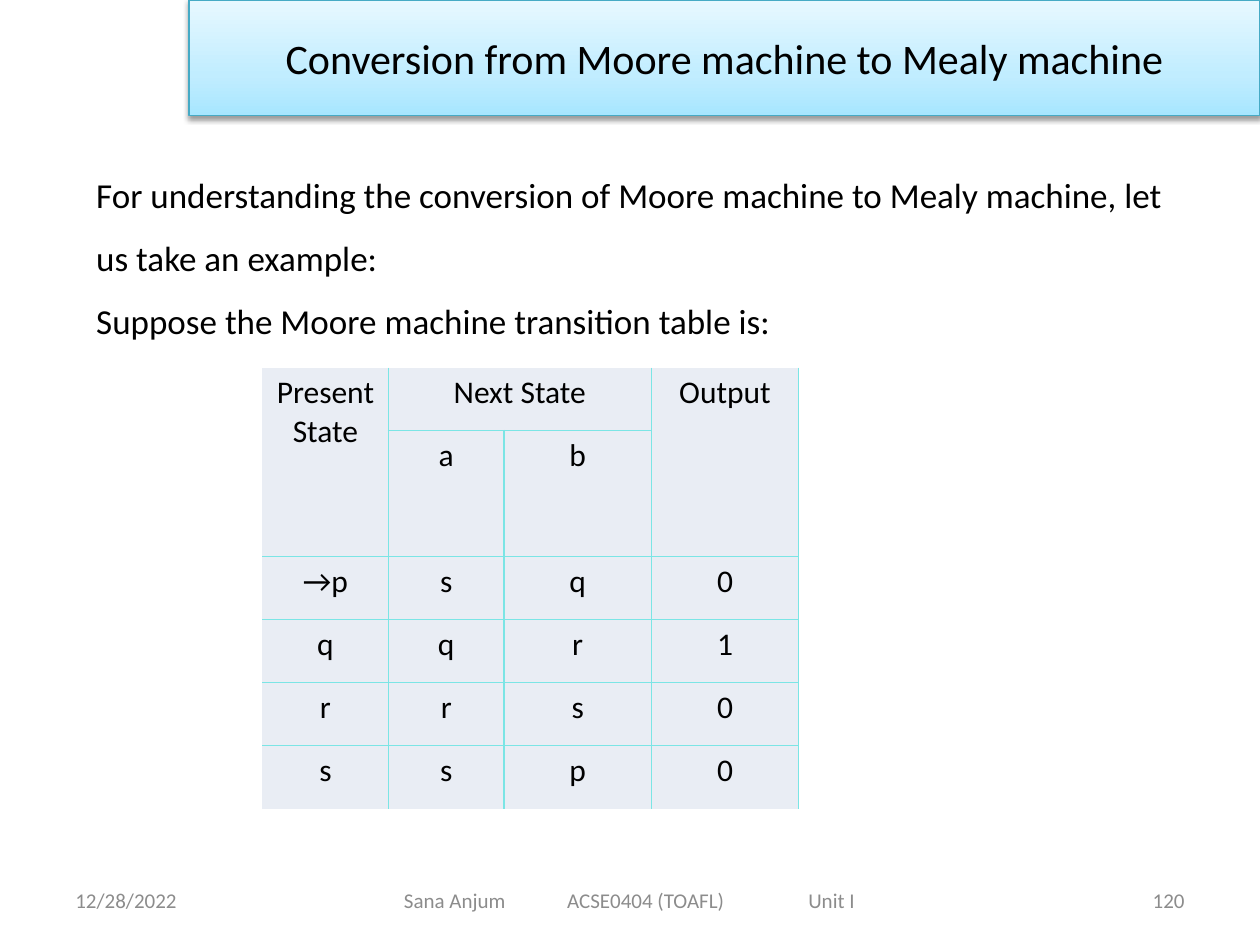
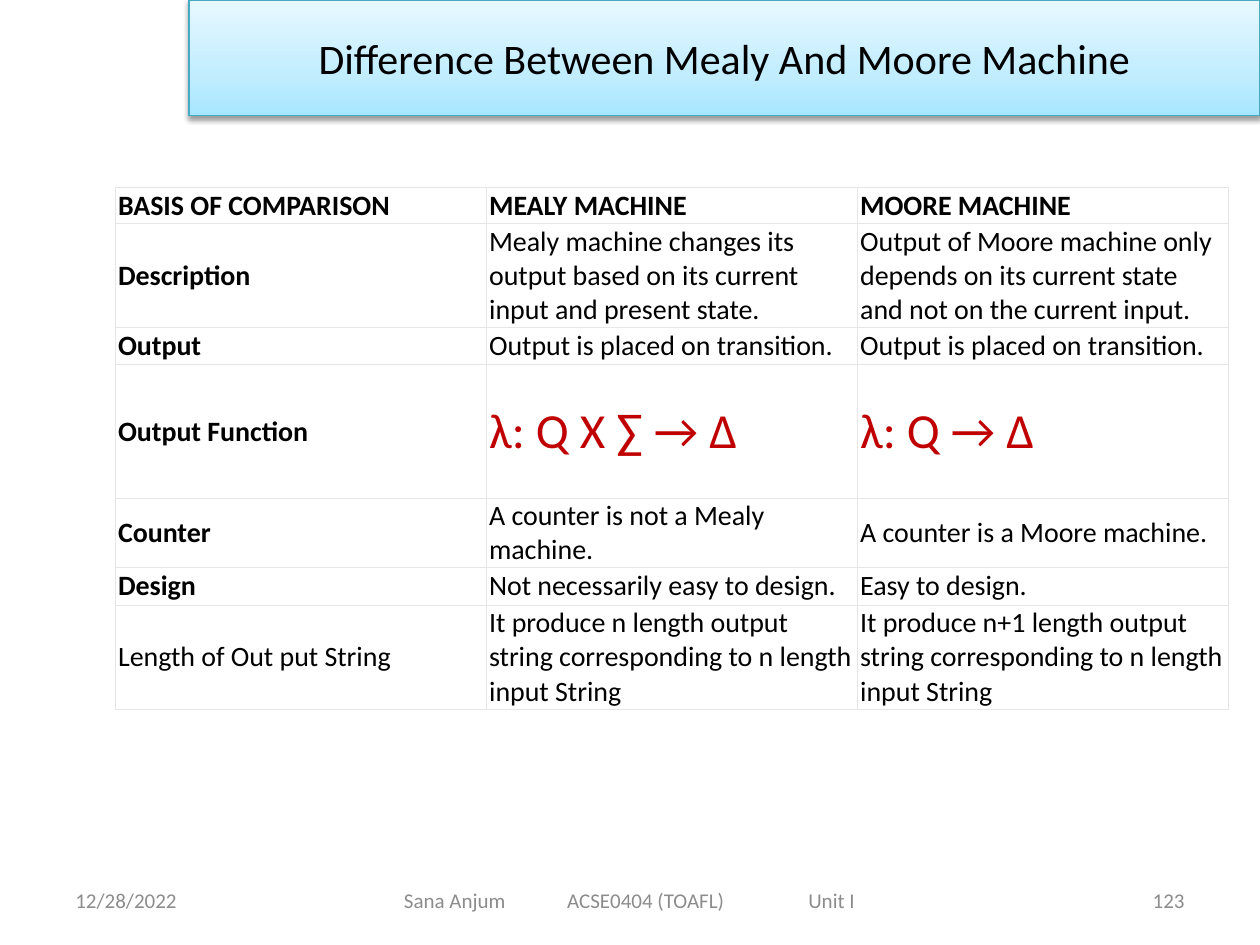
from copy import deepcopy

from lxml import etree
from pptx import Presentation
from pptx.dml.color import RGBColor
from pptx.enum.shapes import MSO_SHAPE
from pptx.enum.text import MSO_ANCHOR, PP_ALIGN
from pptx.oxml.ns import qn
from pptx.util import Cm, Pt

LEFT, CENTER, RIGHT = PP_ALIGN.LEFT, PP_ALIGN.CENTER, PP_ALIGN.RIGHT
TOP, MIDDLE = MSO_ANCHOR.TOP, MSO_ANCHOR.MIDDLE
RECTANGLE = MSO_SHAPE.RECTANGLE

FONT = "Calibri"
BLACK = RGBColor(0x00, 0x00, 0x00)
WHITE = RGBColor(0xFF, 0xFF, 0xFF)
FOOTER_GREY = RGBColor(0x8C, 0x8C, 0x8C)
FORMULA_RED = RGBColor(0xC0, 0x00, 0x00)
BAND_LINE = RGBColor(0x46, 0xAA, 0xC5)
BAND_STOPS = [
    (0, RGBColor(0xA7, 0xE6, 0xFF)),
    (0.35, RGBColor(0xC1, 0xED, 0xFF)),
    (1, RGBColor(0xE7, 0xF8, 0xFF)),
]
STATE_FILL = RGBColor(0xE9, 0xED, 0xF4)
STATE_LINE = RGBColor(0x7B, 0xE5, 0xE5)
COMPARISON_LINE = RGBColor(0xE6, 0xE6, 0xE6)

DATE = "12/28/2022"
COURSE = "Sana Anjum\tACSE0404 (TOAFL)\tUnit I"
COURSE_TABS = (Cm(3.29), Cm(8.15))

INTRODUCTION = (
    "For understanding the conversion of Moore machine to Mealy machine, "
    "let us take an example:\n"
    "Suppose the Moore machine transition table is:"
)
STATE_ROWS = [
    ["Present State", "Next State", "", "Output"],
    ["", "a", "b", ""],
    ["→p", "s", "q", "0"],
    ["q", "q", "r", "1"],
    ["r", "r", "s", "0"],
    ["s", "s", "p", "0"],
]
STATE_MERGES = [((0, 0), (1, 0)), ((0, 1), (0, 2)), ((0, 3), (1, 3))]

COMPARISON_ROWS = [
    ["BASIS OF COMPARISON", "MEALY MACHINE", "MOORE MACHINE"],
    ["Description",
     "Mealy machine changes its output based on its current input and present state.",
     "Output of Moore machine only depends on its current state and not on the current input."],
    ["Output", "Output is placed on transition.", "Output is placed on transition."],
    ["Output Function", "λ: Q X ∑ → Δ", "λ: Q → Δ"],
    ["Counter", "A counter is not a Mealy machine.", "A counter is a Moore machine."],
    ["Design", "Not necessarily easy to design.", "Easy to design."],
    ["Length of Out put String",
     "It produce n length output string corresponding to n length input String",
     "It produce n+1 length output string corresponding to n length input String"],
]
COMPARISON_HEIGHTS = [0.73, 2.1, 0.74, 2.7, 1.39, 0.76, 2.1]
FORMULA_ROW = 3
LAST_COMPARISON_ROW = len(COMPARISON_ROWS) - 1


def write(frame, text, size=12, color=BLACK, bold=False, align=LEFT,
          line_spacing=None, tabs=()):
    """Put each line of the text into its own formatted paragraph."""
    for index, line in enumerate(text.split("\n")):
        para = frame.add_paragraph() if index else frame.paragraphs[0]
        para.alignment = align
        if line_spacing:
            para.line_spacing = line_spacing
        if tabs:
            tab_list = etree.SubElement(para._p.get_or_add_pPr(), qn("a:tabLst"))
            for stop in tabs:
                etree.SubElement(tab_list, qn("a:tab"), pos=str(stop), algn="l")
        span = para.add_run()
        span.text = line
        span.font.name = FONT
        span.font.size = Pt(size)
        span.font.bold = bold
        span.font.color.rgb = color


def add_text(page, box, text, anchor=TOP, inset=Cm(0.25), **style):
    frame = page.shapes.add_textbox(*box).text_frame
    frame.word_wrap = True
    frame.vertical_anchor = anchor
    frame.margin_left = inset
    write(frame, text, **style)


def add_title_band(page, box, title):
    band = page.shapes.add_shape(RECTANGLE, *box)
    band.line.color.rgb = BAND_LINE
    band.line.width = Pt(0.75)

    # Three-stop gradient running from the bottom up
    band.fill.gradient()
    band.fill.gradient_angle = 90
    stop_list = band.element.spPr.find(qn("a:gradFill")).find(qn("a:gsLst"))
    stop_list.append(deepcopy(stop_list[0]))
    for stop, (position, color) in zip(band.fill.gradient_stops, BAND_STOPS):
        stop.position = position
        stop.color.rgb = color

    # Soft shadow below the band
    band.shadow.inherit = False
    effects = band.element.spPr.find(qn("a:effectLst"))
    shadow = etree.SubElement(effects, qn("a:outerShdw"), blurRad=str(Pt(3.1)),
                              dist=str(Pt(1.6)), dir="5400000", rotWithShape="0")
    shade = etree.SubElement(shadow, qn("a:srgbClr"), val=str(BLACK))
    etree.SubElement(shade, qn("a:alpha"), val="38000")

    band.text_frame.word_wrap = True
    band.text_frame.vertical_anchor = MIDDLE
    write(band.text_frame, title, size=24, align=CENTER)


def add_footer(page, box, number):
    left, top, width, height = box
    side, middle = Cm(5.93), Cm(13.97)
    style = dict(anchor=MIDDLE, color=FOOTER_GREY)
    add_text(page, (left, top, side, height), DATE, **style)
    add_text(page, (left + (width - middle) // 2, top, middle, height), COURSE,
             inset=Cm(2.43), tabs=COURSE_TABS, **style)
    add_text(page, (left + width - side, top, side, height), str(number),
             align=RIGHT, **style)


def add_page(deck, title, number):
    page = deck.slides.add_slide(deck.slide_layouts[6])
    add_title_band(page, (Cm(3.81), 0, Cm(21.59), Cm(2.33)), title)
    add_footer(page, (Cm(1.27), Cm(17.65), Cm(22.86), Cm(1.01)), number)
    return page


def set_borders(cell, sides, color, width):
    """Draw the named sides (L, R, T, B) and clear the others."""
    properties = cell._tc.get_or_add_tcPr()
    for side in "LRTB":
        line = etree.SubElement(properties, qn(f"a:ln{side}"), w=str(Pt(width)))
        if side in sides:
            fill = etree.SubElement(line, qn("a:solidFill"))
            etree.SubElement(fill, qn("a:srgbClr"), val=str(color))
        else:
            etree.SubElement(line, qn("a:noFill"))


def add_grid(page, left, top, widths, heights):
    """Add a plain table whose column and row sizes are given in cm."""
    table = page.shapes.add_table(len(heights), len(widths), left, top,
                                  Cm(sum(widths)), Cm(sum(heights))).table
    table.first_row = table.horz_banding = False
    for column, width in zip(table.columns, widths):
        column.width = Cm(width)
    for row, height in zip(table.rows, heights):
        row.height = Cm(height)
    return table


def fill_cell(cell, text, fill, **style):
    cell.fill.solid()
    cell.fill.fore_color.rgb = fill
    if text:
        write(cell.text_frame, text, **style)


def add_state_table(page, left, top):
    heights = [1.27, 2.54] + [1.27] * 4
    table = add_grid(page, left, top, [2.54, 2.33, 2.97, 2.97], heights)
    for start, end in STATE_MERGES:
        table.cell(*start).merge(table.cell(*end))
    for i, row in enumerate(STATE_ROWS):
        for j, text in enumerate(row):
            # Only the right outer edge is ruled
            sides = "R" + "L" * (j > 0) + "T" * (i > 0)
            sides += "B" * (i < len(STATE_ROWS) - 1)
            cell = table.cell(i, j)
            set_borders(cell, sides, STATE_LINE, 1)
            fill_cell(cell, text, STATE_FILL, size=18, align=CENTER)


def add_comparison_table(page, left, top):
    table = add_grid(page, left, top, [7.48] * 3, COMPARISON_HEIGHTS)
    for i, row in enumerate(COMPARISON_ROWS):
        for j, text in enumerate(row):
            cell = table.cell(i, j)
            cell.vertical_anchor = MIDDLE
            cell.margin_left = cell.margin_right = Cm(0.05)
            cell.margin_top = cell.margin_bottom = 0
            set_borders(cell, "LRTB", COMPARISON_LINE, 0.6)
            formula = i == FORMULA_ROW and j > 0
            heading = i == 0 or (j == 0 and i < LAST_COMPARISON_ROW)
            fill_cell(cell, text, WHITE, size=28 if formula else 16, bold=heading,
                      color=FORMULA_RED if formula else BLACK)


def add_conversion_page(deck):
    page = add_page(deck, "Conversion from Moore machine to Mealy machine", 120)
    add_text(page, (Cm(1.69), Cm(2.96), Cm(22.01), Cm(4.12)), INTRODUCTION,
             size=20, line_spacing=1.5)
    add_state_table(page, Cm(5.29), Cm(7.41))


def add_difference_page(deck):
    page = add_page(deck, "Difference Between Mealy And Moore Machine", 123)
    add_comparison_table(page, Cm(2.33), Cm(3.78))


def main():
    deck = Presentation()
    deck.slide_width, deck.slide_height = Cm(25.4), Cm(19.05)
    add_conversion_page(deck)
    add_difference_page(deck)
    deck.save("out.pptx")


if __name__ == "__main__":
    main()
